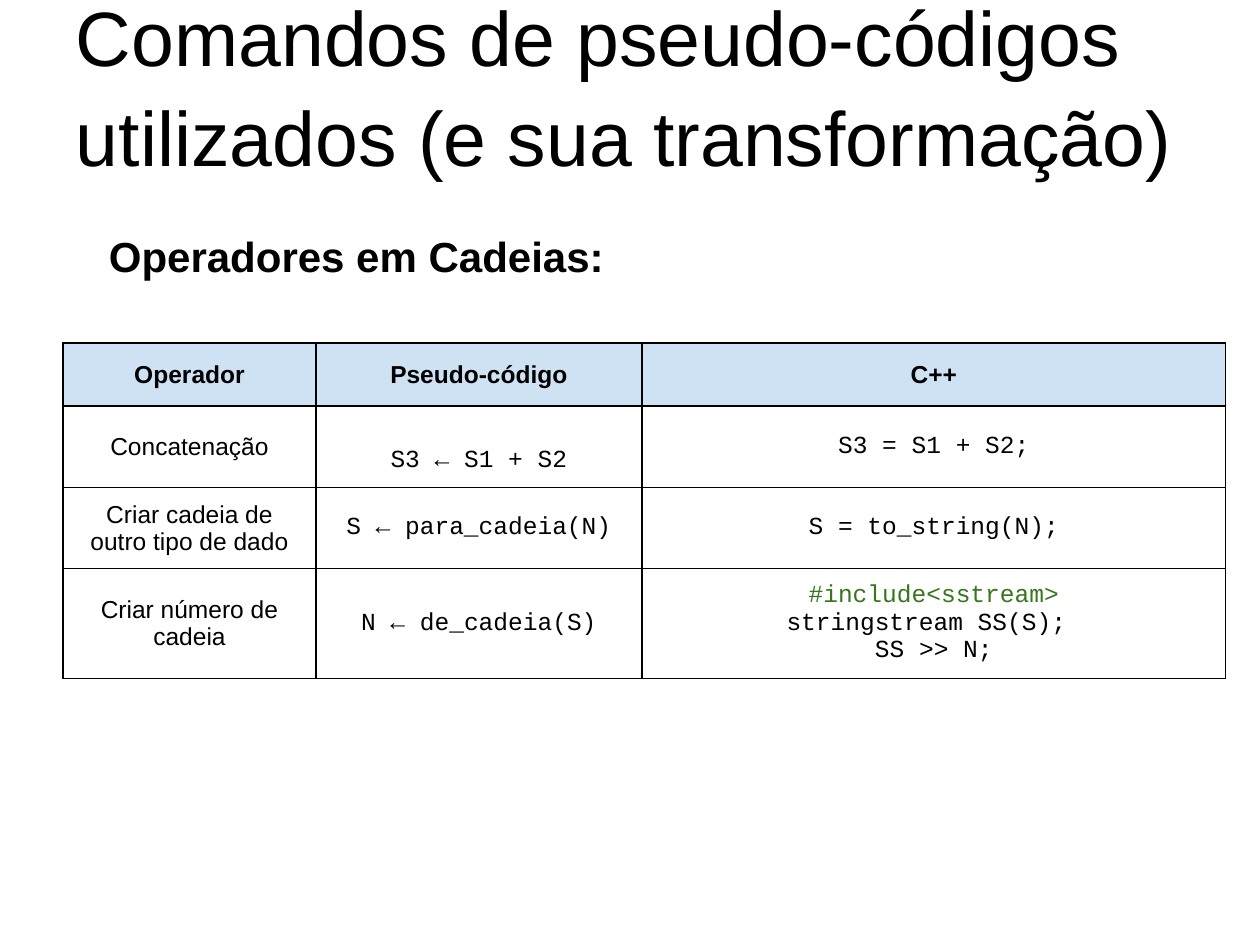
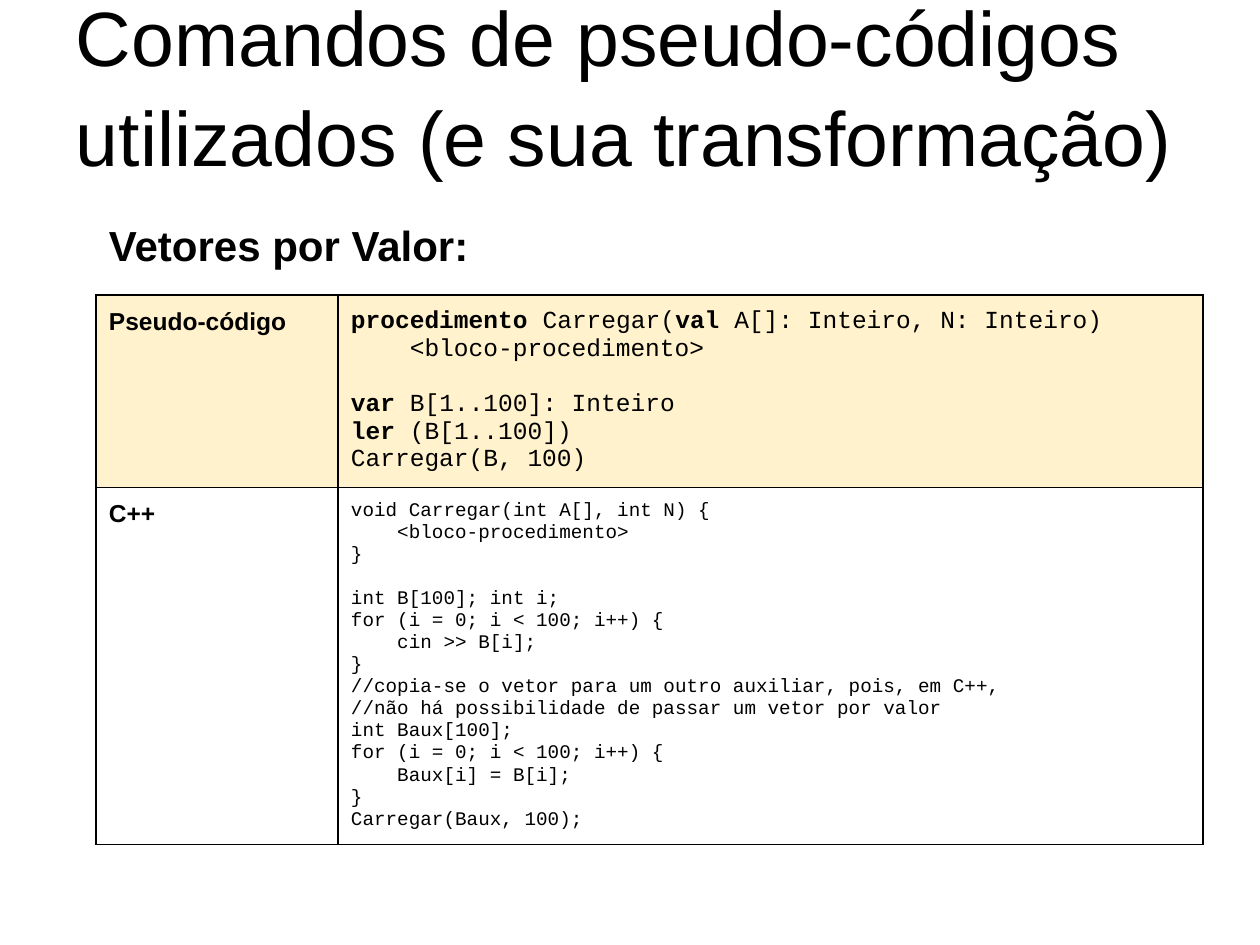
from dataclasses import dataclass

from lxml import etree
from pptx import Presentation
from pptx.dml.color import RGBColor
from pptx.enum import text
from pptx.oxml import ns
from pptx.util import Emu, Pt

EMU_PER_PX = 914400 / 126


# Theme: colours, faces and type sizes
@dataclass(frozen=True)
class Theme:
    ink: str = "000000"
    directive: str = "38761D"
    blue: str = "CFE2F3"
    cream: str = "FFF2CC"
    sans: str = "Arial"
    mono: str = "Courier New"
    title: int = 44
    heading: int = 24
    body: int = 14
    small: int = 11
    inset: int = 13
    border: float = 0.75
    code_line: float = 1.13


THEME = Theme()
TITLE = "Comandos de pseudo-códigos utilizados (e sua transformação)"


@dataclass(frozen=True)
class Entry:
    """Cell content: *asterisks* mark bold, an empty line becomes a gap."""
    content: str
    face: str = THEME.sans
    size: int = THEME.body
    fill: str = ""
    lead: int = 0


@dataclass(frozen=True)
class Grid:
    left: int
    top: int
    columns: tuple[int, ...]
    rows: tuple[int, ...]
    entries: list[list[Entry]]
    centred: bool


@dataclass(frozen=True)
class Page:
    heading: str
    heading_top: int
    grid: Grid


def px(length: int) -> Emu:
    return Emu(round(length * EMU_PER_PX))


def apply(target, settings: dict) -> None:
    for name, value in settings.items():
        setattr(target, name, value)


def insets(prefix: str) -> dict:
    return {f"{prefix}_{side}": px(THEME.inset)
            for side in ("left", "right", "top", "bottom")}


def add_run(paragraph, words: str, size: int, face: str, bold: bool,
            colour: str = THEME.ink) -> None:
    run = paragraph.add_run()
    run.text = words
    apply(run.font, {"size": Pt(size), "name": face, "bold": bold})
    run.font.color.rgb = RGBColor.from_string(colour)


def add_label(slide, words: str, box: tuple[int, int, int, int], size: int,
              bold: bool, spacing: float, anchor) -> None:
    frame = slide.shapes.add_textbox(*map(px, box)).text_frame
    apply(frame, {"word_wrap": True, "auto_size": text.MSO_AUTO_SIZE.NONE,
                  "vertical_anchor": anchor, **insets("margin")})
    line = frame.paragraphs[0]
    line.line_spacing = spacing
    add_run(line, words, size, THEME.sans, bold)


def add_borders(cell) -> None:
    properties = cell._tc.get_or_add_tcPr()
    for position, side in enumerate(("lnL", "lnR", "lnT", "lnB")):
        line = etree.Element(ns.qn(f"a:{side}"), w=str(Pt(THEME.border)))
        fill = etree.SubElement(line, ns.qn("a:solidFill"))
        etree.SubElement(fill, ns.qn("a:srgbClr"), val=THEME.ink)
        properties.insert(position, line)


def fill_cell(cell, entry: Entry, centred: bool) -> None:
    anchor = text.MSO_ANCHOR.MIDDLE if centred else text.MSO_ANCHOR.TOP
    apply(cell, {"vertical_anchor": anchor, **insets("margin")})
    cell.margin_top = px(THEME.inset + entry.lead)
    if entry.fill:
        cell.fill.solid()
        cell.fill.fore_color.rgb = RGBColor.from_string(entry.fill)
    else:
        cell.fill.background()
    add_borders(cell)

    frame = cell.text_frame
    after_gap = False
    for number, content in enumerate(entry.content.split("\n")):
        if not content:
            after_gap = True
            continue
        line = frame.add_paragraph() if number else frame.paragraphs[0]
        line.alignment = text.PP_ALIGN.CENTER if centred else text.PP_ALIGN.LEFT
        if after_gap:
            line.space_before = Pt(round(entry.size * THEME.code_line, 1))
            after_gap = False
        colour = THEME.directive if content.startswith("#") else THEME.ink
        for part, words in enumerate(content.split("*")):
            if words:
                add_run(line, words, entry.size, entry.face, part % 2 == 1, colour)


def add_grid(slide, grid: Grid) -> None:
    table = slide.shapes.add_table(
        len(grid.rows), len(grid.columns), px(grid.left), px(grid.top),
        px(sum(grid.columns)), px(sum(grid.rows))).table
    apply(table, {"first_row": False, "horz_banding": False})
    for column, width in zip(table.columns, grid.columns):
        column.width = px(width)
    for row, height, entries in zip(table.rows, grid.rows, grid.entries):
        row.height = px(height)
        for cell, entry in zip(row.cells, entries):
            fill_cell(cell, entry, grid.centred)


def add_page(deck, page: Page) -> None:
    slide = deck.slides.add_slide(deck.slide_layouts[6])
    add_label(slide, page.heading, (96, page.heading_top, 998, 684),
              THEME.heading, True, 1.15, text.MSO_ANCHOR.TOP)
    add_label(slide, TITLE, (63, 38, 1134, 157),
              THEME.title, False, 1.08, text.MSO_ANCHOR.BOTTOM)
    add_grid(slide, page.grid)


# String operators
def operator_row(operation: str, pseudo: str, cpp: str, lead: int = 0) -> list[Entry]:
    return [Entry(operation), Entry(pseudo, THEME.mono, lead=lead),
            Entry(cpp, THEME.mono)]


OPERATORS = Grid(
    63, 343, (253, 326, 584), (63, 81, 80, 108),
    [
        [Entry(f"*{name}*", fill=THEME.blue)
         for name in ("Operador", "Pseudo-código", "C++")],
        operator_row("Concatenação", "S3 ← S1 + S2", "S3 = S1 + S2;", lead=28),
        operator_row("Criar cadeia de outro tipo de dado",
                     "S ← para_cadeia(N)", "S = to_string(N);"),
        operator_row("Criar número de cadeia", "N ← de_cadeia(S)",
                     "#include<sstream>\nstringstream SS(S); \nSS >> N;"),
    ], centred=True)

# Arrays passed by value
PSEUDO_CODE = """*procedimento* Carregar(*val* A[]: Inteiro, N: Inteiro)
    <bloco-procedimento>

*var* B[1..100]: Inteiro
*ler* (B[1..100])
Carregar(B, 100)"""

CPP_CODE = """void Carregar(int A[], int N) {
    <bloco-procedimento>
}

int B[100]; int i;
for (i = 0; i < 100; i++) {
    cin >> B[i];
}
//copia-se o vetor para um outro auxiliar, pois, em C++,
//não há possibilidade de passar um vetor por valor
int Baux[100];
for (i = 0; i < 100; i++) {
    Baux[i] = B[i];
}
Carregar(Baux, 100);"""

ARRAYS = Grid(
    96, 295, (242, 865), (191, 357),
    [
        [Entry("*Pseudo-código*", fill=THEME.cream),
         Entry(PSEUDO_CODE, THEME.mono, fill=THEME.cream)],
        [Entry("*C++*"), Entry(CPP_CODE, THEME.mono, THEME.small)],
    ], centred=False)

PAGES = [
    Page("Operadores em Cadeias:", 210, OPERATORS),
    Page("Vetores por Valor:", 199, ARRAYS),
]


def main() -> None:
    deck = Presentation()
    apply(deck, {"slide_width": px(1260), "slide_height": px(945)})
    for page in PAGES:
        add_page(deck, page)
    deck.save("out.pptx")


if __name__ == "__main__":
    main()
